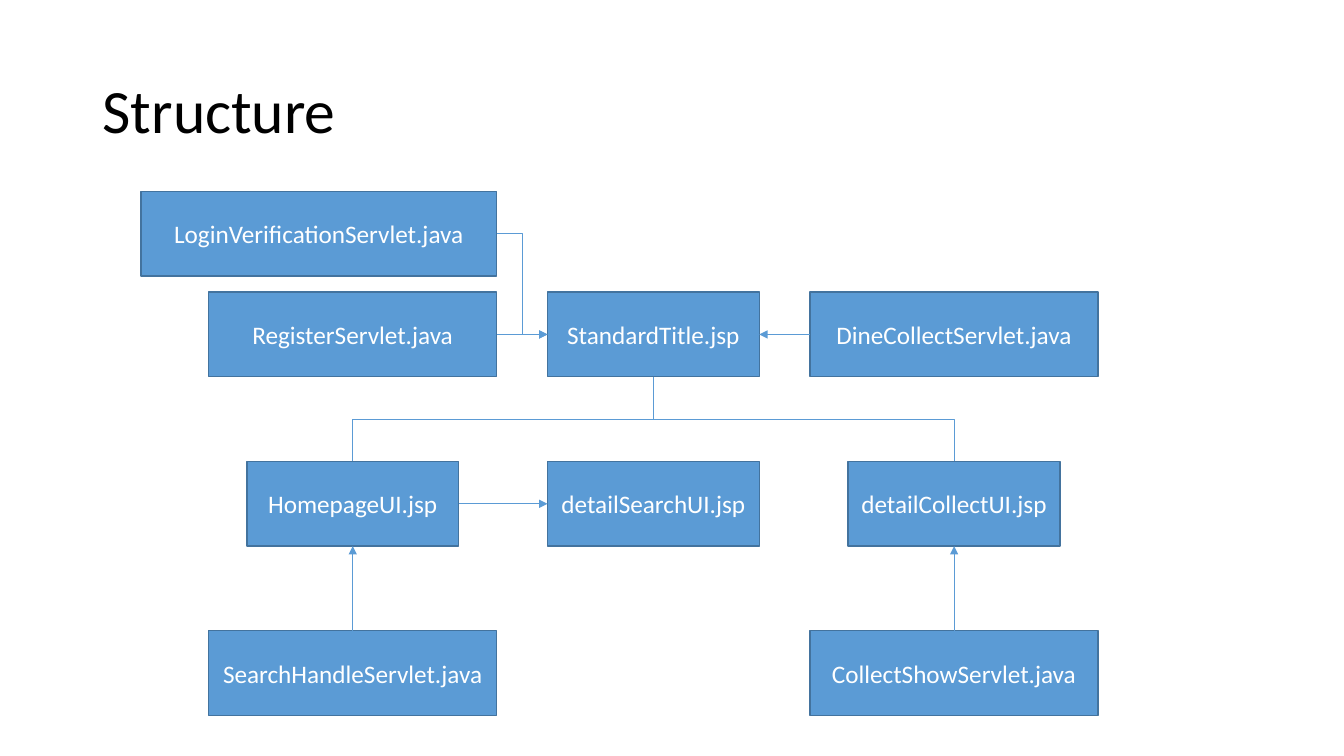
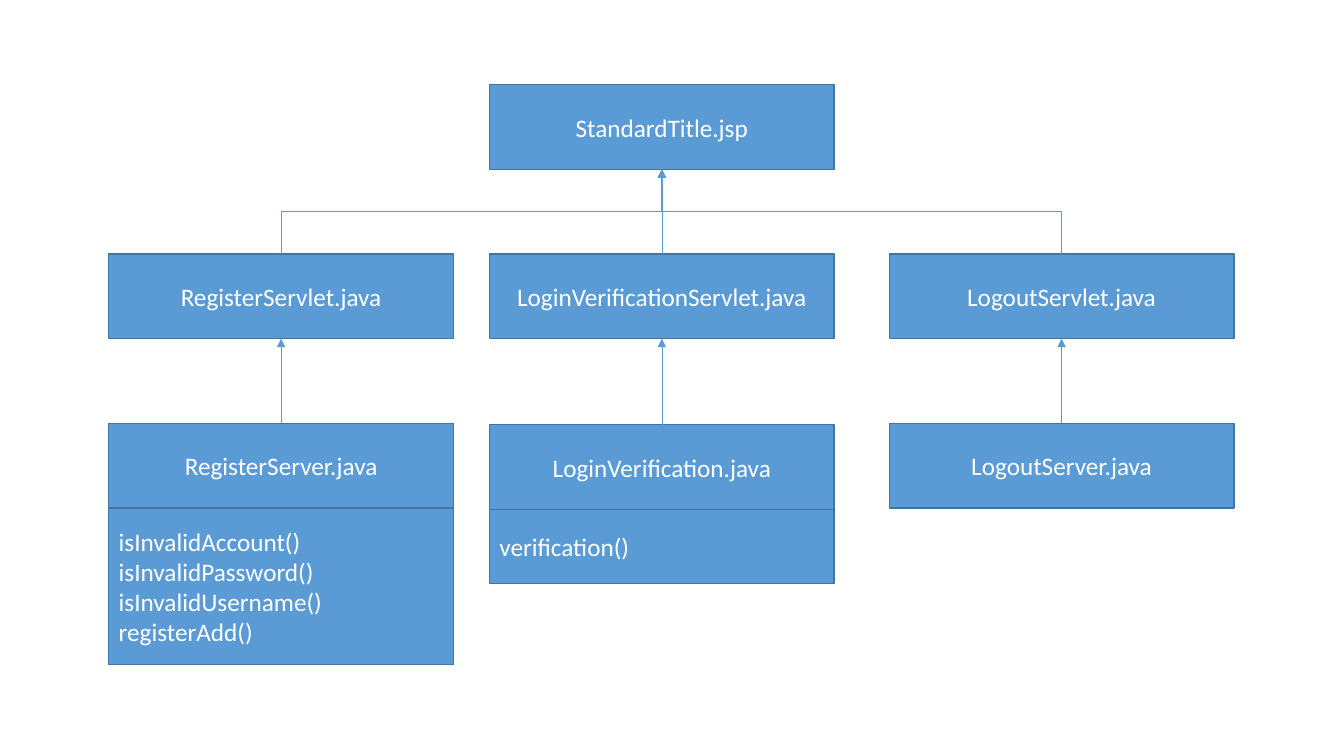
from lxml import etree
from pptx import Presentation
from pptx.dml.color import RGBColor
from pptx.enum.shapes import MSO_CONNECTOR, MSO_SHAPE
from pptx.enum.text import MSO_ANCHOR, PP_ALIGN
from pptx.oxml.ns import qn
from pptx.util import Inches, Pt

RECTANGLE = MSO_SHAPE.RECTANGLE
STRAIGHT, ELBOW = MSO_CONNECTOR.STRAIGHT, MSO_CONNECTOR.ELBOW
MIDDLE = MSO_ANCHOR.MIDDLE
LEFT, CENTER = PP_ALIGN.LEFT, PP_ALIGN.CENTER

COLORS = {"fill": "5B9BD5", "border": "43739E", "arrow": "5B9BD5",
          "label": "FFFFFF", "title": "000000"}
FORMATS = {
    "title": {"font": {"name": "Calibri", "size": Pt(44)},
              "paragraph": {"alignment": LEFT, "line_spacing": 0.9}},
    "label": {"font": {"name": "Calibri", "size": Pt(18)},
              "paragraph": {"alignment": CENTER}},
    "members": {"font": {"name": "Calibri", "size": Pt(18)},
                "paragraph": {"alignment": LEFT}},
}
CELL = 0.42        # side of one square grid cell, in inches
BOX_ROWS = 2       # height of a file box
QUARTER_TURN = 90 * 60000


def grid(cells):
    return Inches(cells * CELL)


def color(name):
    return RGBColor.from_string(COLORS[name])


def apply_format(target, values):
    for name, value in values.items():
        setattr(target, name, value)


class Diagram:
    """Holds the shared style and the slide being drawn."""

    def __init__(self, presentation):
        self.presentation = presentation
        self.slide = None

    def new_slide(self):
        blank = self.presentation.slide_layouts[6]
        self.slide = self.presentation.slides.add_slide(blank)

    def fill_text(self, shape, lines, style, color_name):
        frame = shape.text_frame
        apply_format(frame, {"word_wrap": True, "vertical_anchor": MIDDLE,
                             "text": "\n".join(lines)})
        for paragraph in frame.paragraphs:
            apply_format(paragraph, FORMATS[style]["paragraph"])
            for run in paragraph.runs:
                apply_format(run.font, FORMATS[style]["font"])
                run.font.color.rgb = color(color_name)

    def title(self, text):
        shape = self.slide.shapes.add_textbox(
            grid(2.19), grid(0.95), grid(27.38), grid(3.45))
        self.fill_text(shape, [text], "title", "title")

    def box(self, lines, center, row, columns, rows=BOX_ROWS, style="label"):
        shape = self.slide.shapes.add_shape(
            RECTANGLE, grid(center - columns / 2), grid(row),
            grid(columns), grid(rows))
        shape.shadow.inherit = False
        shape.fill.solid()
        shape.fill.fore_color.rgb = color("fill")
        shape.line.color.rgb = color("border")
        shape.line.width = Pt(1)
        self.fill_text(shape, lines, style, "label")
        return shape

    def side(self, shape, name):
        across, down = {"top": (0.5, 0), "bottom": (0.5, 1),
                        "left": (0, 0.5), "right": (1, 0.5)}[name]
        return (shape.left + int(shape.width * across),
                shape.top + int(shape.height * down))

    def connect(self, source, source_side, target, target_side,
                kind=STRAIGHT, arrow=True):
        start_x, start_y = self.side(source, source_side)
        end_x, end_y = self.side(target, target_side)
        upright = source_side in ("top", "bottom")
        turned = kind == ELBOW and upright
        if kind == STRAIGHT and upright:
            end_x = start_x
        elif kind == STRAIGHT:
            end_y = start_y
        if turned:
            # An elbow that leaves vertically is a horizontal one turned by 90 degrees
            middle_x, middle_y = (start_x + end_x) // 2, (start_y + end_y) // 2
            half_x, half_y = (end_x - start_x) // 2, (end_y - start_y) // 2
            start_x, end_x = middle_x - half_y, middle_x + half_y
            start_y, end_y = middle_y + half_x, middle_y - half_x
        connector = self.slide.shapes.add_connector(
            kind, start_x, start_y, end_x, end_y)
        connector.line.color.rgb = color("arrow")
        connector.line.width = Pt(0.5)
        properties = connector.element.spPr
        if turned:
            properties.find(qn("a:xfrm")).set("rot", str(QUARTER_TURN))
        if arrow:
            line = properties.find(qn("a:ln"))
            etree.SubElement(line, qn("a:tailEnd"), type="triangle")
        etree.SubElement(properties, qn("a:effectLst"))


presentation = Presentation()
presentation.slide_width = Inches(13.33)
presentation.slide_height = Inches(7.5)
diagram = Diagram(presentation)

# Slide 1: pages and the servlets that serve them
diagram.new_slide()
diagram.title("Structure")
left, middle, right = (8.33 + 7.1 * step for step in range(3))
upper, center, lower = (6.9 + 4 * step for step in range(3))
page, servlet, login_width = 5, 6.8, 8.4

standard = diagram.box(["StandardTitle.jsp"], middle, upper, page)
homepage = diagram.box(["HomepageUI.jsp"], left, center, page)
search = diagram.box(["detailSearchUI.jsp"], middle, center, page)
collect = diagram.box(["detailCollectUI.jsp"], right, center, page)
login = diagram.box(["LoginVerificationServlet.java"],
                    left + (servlet - login_width) / 2, 4.52, login_width)
register = diagram.box(["RegisterServlet.java"], left, upper, servlet)
collector = diagram.box(["DineCollectServlet.java"], right, upper, servlet)
search_handler = diagram.box(["SearchHandleServlet.java"], left, lower, servlet)
collect_show = diagram.box(["CollectShowServlet.java"], right, lower, servlet)

for child in (homepage, collect):
    diagram.connect(standard, "bottom", child, "top", ELBOW, arrow=False)
diagram.connect(login, "right", standard, "left", ELBOW)
diagram.connect(register, "right", standard, "left")
diagram.connect(collector, "left", standard, "right")
diagram.connect(homepage, "right", search, "left")
diagram.connect(search_handler, "top", homepage, "bottom")
diagram.connect(collect_show, "top", collect, "bottom")

# Slide 2: account servlets and their server classes
diagram.new_slide()
width = 8.14
standard = diagram.box(["StandardTitle.jsp"], 15.63, 2, width)
branches = [
    (6.64, 10, "RegisterServlet.java", "RegisterServer.java", 3.7,
     ["isInvalidAccount()", "isInvalidPassword()",
      "isInvalidUsername()", "registerAdd()"], ELBOW),
    (15.63, 10.03, "LoginVerificationServlet.java", "LoginVerification.java",
     1.76, ["verification()"], STRAIGHT),
    (25.07, 10, "LogoutServlet.java", "LogoutServer.java", 0, [], ELBOW),
]
for column, row, servlet_name, server_name, rows, members, kind in branches:
    servlet_box = diagram.box([servlet_name], column, 6, width)
    server_box = diagram.box([server_name], column, row, width)
    if members:
        diagram.box(members, column, row + BOX_ROWS, width, rows, "members")
    diagram.connect(server_box, "top", servlet_box, "bottom")
    diagram.connect(servlet_box, "top", standard, "bottom", kind)

presentation.save("out.pptx")
